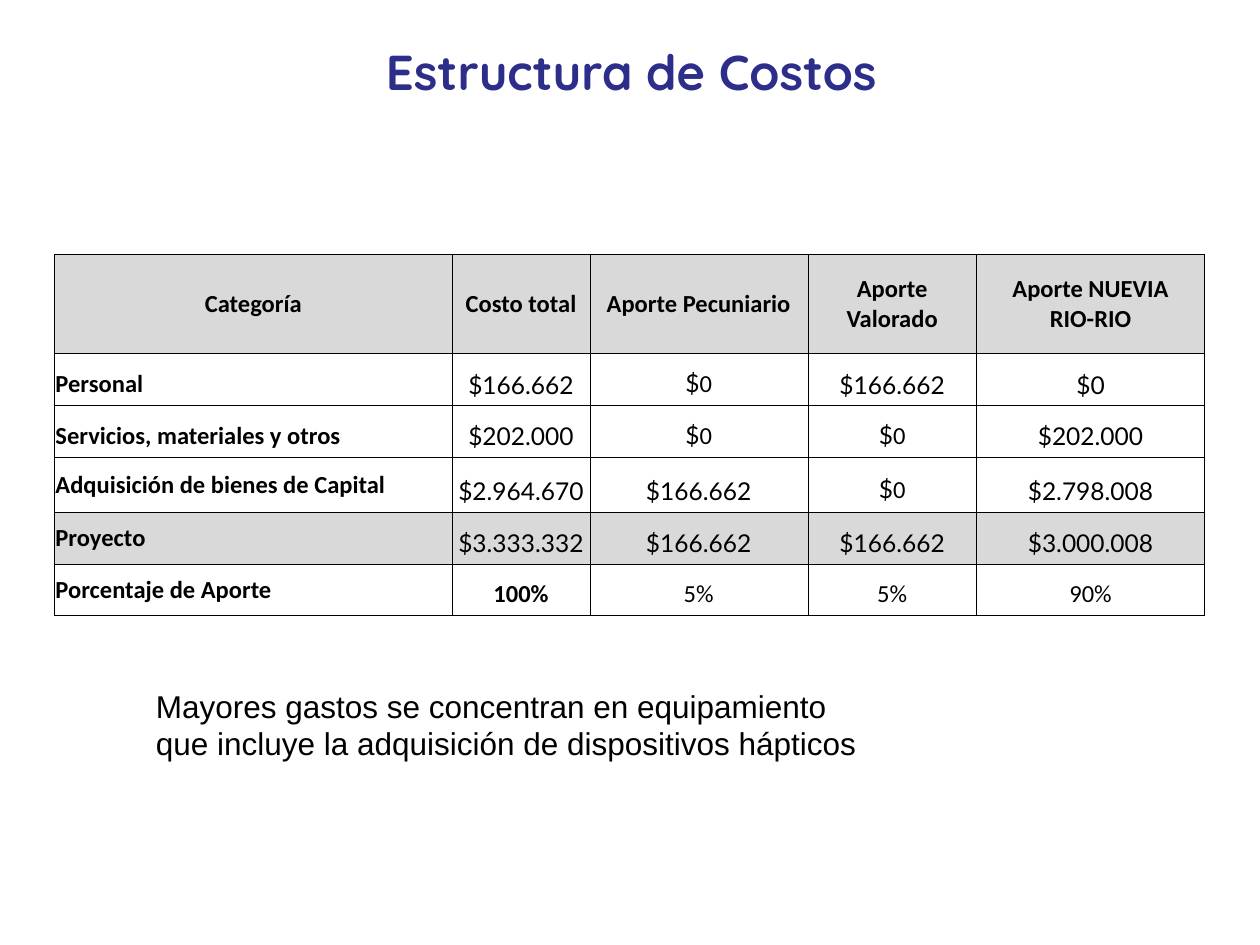
from lxml.etree import SubElement
from pptx import Presentation
from pptx.dml.color import RGBColor
from pptx.enum.text import MSO_ANCHOR, PP_ALIGN
from pptx.oxml.ns import qn
from pptx.util import Pt

COLORS = {"title": "2D2D8A", "text": "000000", "shade": "D9D9D9"}

# Formats: font attributes by role
TITLE = {"name": "Quicksand", "size": Pt(28), "bold": True}
NOTE = {"name": "Arial", "size": Pt(18), "bold": False}
LABEL = {"name": "Calibri", "size": Pt(14), "bold": True}
AMOUNT = {"name": "Lato", "size": Pt(14), "bold": False}
PLAIN = {"name": "Calibri", "size": Pt(14), "bold": False}

# Table content; "|" starts a part of the amount set in the plain format
HEADER = ["Categoría", "Costo total", "Aporte Pecuniario",
          "Aporte\nValorado", "Aporte NUEVIA\nRIO-RIO"]
COSTS = [
    ["Personal", "$166.662", "$|0", "$166.662", "$0"],
    ["Servicios, materiales y otros", "$202.000", "$|0", "$|0", "$202.000"],
    ["Adquisición de bienes de Capital", "$2.964.670", "$166.662", "$|0", "$2.798.008"],
    ["Proyecto", "$3.333.332", "$166.662", "$166.662", "$3.000.008"],
    ["Porcentaje de Aporte", "100%", "5%", "5%", "90%"],
]
COL_WIDTHS = [227.5, 78.5, 124.6, 96.5, 130.3]
ROW_HEIGHTS = [56.7, 29.7, 29.7, 31, 29.7, 29.7]
SHADED_ROWS = {0, 4}
LOW_LABEL_ROWS = {1, 2}


class SlideBuilder:
    def __init__(self, slide):
        self.s = slide

    def runs(self, p, text, fmt, color="text", align=PP_ALIGN.LEFT):
        p.alignment = align
        for part, part_fmt in zip(text.split("|"), (fmt, PLAIN)):
            r = p.add_run()
            r.text = part
            for key, value in part_fmt.items():
                setattr(r.font, key, value)
            r.font.color.rgb = RGBColor.from_string(COLORS[color])

    def text(self, x, y, w, h, text, fmt, color="text", align=PP_ALIGN.LEFT):
        tf = self.s.shapes.add_textbox(Pt(x), Pt(y), Pt(w), Pt(h)).text_frame
        tf.word_wrap = True
        self.runs(tf.paragraphs[0], text, fmt, color, align)

    def borders(self, cell):
        pr = cell._tc.get_or_add_tcPr()
        for i, side in enumerate(("lnL", "lnR", "lnT", "lnB")):
            ln = pr.makeelement(qn(f"a:{side}"), {"w": str(Pt(0.23))})
            fill = SubElement(ln, qn("a:solidFill"))
            SubElement(fill, qn("a:srgbClr"), val=COLORS["text"])
            pr.insert(i, ln)

    def cell(self, cell, text, fmt, align, anchor, shaded):
        cell.margin_left = cell.margin_right = Pt(0.7)
        cell.margin_top = cell.margin_bottom = Pt(3.6)
        cell.vertical_anchor = anchor
        if shaded:
            cell.fill.solid()
            cell.fill.fore_color.rgb = RGBColor.from_string(COLORS["shade"])
        else:
            cell.fill.background()
        self.borders(cell)
        tf = cell.text_frame
        for i, line in enumerate(text.split("\n")):
            p = tf.add_paragraph() if i else tf.paragraphs[0]
            self.runs(p, line, fmt, align=align)

    def cost_table(self, x, y, rows):
        table = self.s.shapes.add_table(
            len(rows), len(COL_WIDTHS), Pt(x), Pt(y),
            Pt(sum(COL_WIDTHS)), Pt(sum(ROW_HEIGHTS))).table
        table.first_row = table.horz_banding = False
        for col, width in zip(table.columns, COL_WIDTHS):
            col.width = Pt(width)
        for row, height in zip(table.rows, ROW_HEIGHTS):
            row.height = Pt(height)
        for i, row in enumerate(rows):
            for j, text in enumerate(row):
                if i == 0 or j == 0 or text == "100%":
                    fmt = LABEL
                else:
                    fmt = PLAIN if text.endswith("%") else AMOUNT
                is_label = i > 0 and j == 0
                align = PP_ALIGN.LEFT if is_label else PP_ALIGN.CENTER
                middle = i == 0 or (is_label and i not in LOW_LABEL_ROWS)
                anchor = MSO_ANCHOR.MIDDLE if middle else MSO_ANCHOR.BOTTOM
                self.cell(table.cell(i, j), text, fmt, align, anchor, i in SHADED_ROWS)


def main():
    prs = Presentation()
    prs.slide_width, prs.slide_height = Pt(720), Pt(540)
    sb = SlideBuilder(prs.slides.add_slide(prs.slide_layouts[6]))

    # Cost table
    sb.cost_table(31, 145.4, [HEADER] + COSTS)

    # Title
    sb.text(36.7, 20.2, 648, 45.4, "Estructura de Costos", TITLE, "title", PP_ALIGN.CENTER)

    # Closing remark
    sb.text(82, 388.8, 431.3, 50.4,
            "Mayores gastos se concentran en equipamiento que incluye "
            "la adquisición de dispositivos hápticos", NOTE)

    prs.save("out.pptx")


if __name__ == "__main__":
    main()
